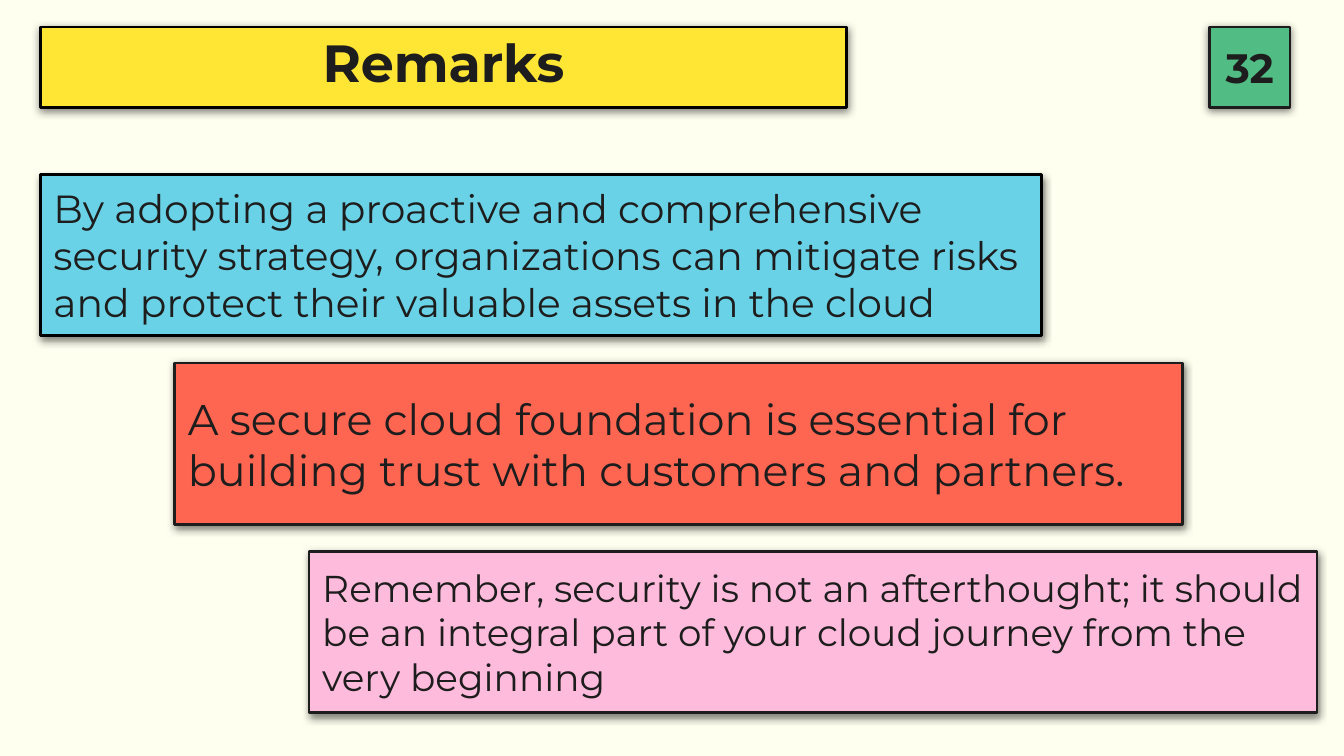
import pptx
import pptx.dml.color
import pptx.enum.shapes
import pptx.enum.text
import pptx.oxml
import pptx.oxml.ns
import pptx.util
from pptx.util import Cm, Pt

COLORS = {
    "page": "FFFFF0",
    "ink": "1D1D1D",
    "black": "000000",
    "title": "FFE534",
    "number": "51BD85",
    "blue": "6AD2E6",
    "red": "FF6652",
    "pink": "FFBBDC",
}
ALIGN = pptx.enum.text.PP_ALIGN
SHADOW = (
    f'<a:outerShdw {pptx.oxml.ns.nsdecls("a")} blurRad="{Pt(4.5)}" dist="{Pt(1.5)}" '
    'dir="5400000" algn="bl" rotWithShape="0">'
    f'<a:srgbClr val="{COLORS["black"]}"><a:alpha val="50000"/></a:srgbClr></a:outerShdw>'
)


def color(name):
    return pptx.dml.color.RGBColor.from_string(COLORS[name])


def fill_card(box, place, text, fill, line, size, bold=False, align=ALIGN.LEFT, spacing=1.0):
    """Place a box and give it the outlined, shadowed card look with one paragraph."""
    for side, length in zip(("left", "top", "width", "height"), place):
        setattr(box, side, Cm(length))
    box.fill.solid()
    box.fill.fore_color.rgb = color(fill)
    box.line.color.rgb = color(line)
    box.line.width = Pt(1.5)
    box.shadow.inherit = False
    effects = box.element.spPr.find(pptx.oxml.ns.qn("a:effectLst"))
    effects.append(pptx.oxml.parse_xml(SHADOW))

    frame = box.text_frame
    frame_format = {
        "word_wrap": True,
        "auto_size": pptx.enum.text.MSO_AUTO_SIZE.NONE,
        "vertical_anchor": pptx.enum.text.MSO_ANCHOR.MIDDLE,
        "margin_left": Cm(0.25),
        "margin_right": Cm(0.25),
        "margin_top": Cm(0.25),
        "margin_bottom": Cm(0.25),
    }
    for name, value in frame_format.items():
        setattr(frame, name, value)

    para = frame.paragraphs[0]
    properties = para._p.get_or_add_pPr()
    properties.set("marL", "0")
    properties.set("indent", "0")
    properties.append(pptx.oxml.parse_xml(f'<a:buNone {pptx.oxml.ns.nsdecls("a")}/>'))
    para_format = {"alignment": align, "line_spacing": spacing, "space_before": Pt(0)}
    for name, value in para_format.items():
        setattr(para, name, value)

    span = para.add_run()
    span.text = text
    for name, value in {"name": "Montserrat", "size": Pt(size), "bold": bold}.items():
        setattr(span.font, name, value)
    span.font.color.rgb = color("ink")


deck = pptx.Presentation()
deck.slide_width, deck.slide_height = Cm(25.4), Cm(14.29)
page = deck.slides.add_slide(deck.slide_layouts.get_by_name("Comparison"))
page.background.fill.solid()
page.background.fill.fore_color.rgb = color("page")

# Header: title bar and page number
fill_card(page.shapes.title, (0.76, 0.51, 15.24, 1.52), "Remarks", "title", "black", 28,
          bold=True, align=ALIGN.CENTER, spacing=0.8)
number = page.shapes.add_shape(pptx.enum.shapes.MSO_SHAPE.RECTANGLE, 0, 0, 0, 0)
fill_card(number, (22.86, 0.51, 1.52, 1.52), "32", "number", "ink", 22,
          bold=True, align=ALIGN.CENTER)

# Remarks: three cards stepping down to the right
remarks = [
    ("By adopting a proactive and comprehensive security strategy, organizations can "
     "mitigate risks and protect their valuable assets in the cloud",
     "blue", "black", 21, 18.92),
    ("A secure cloud foundation is essential for building trust with customers and partners.",
     "red", "ink", 23, 19.05),
    ("Remember, security is not an afterthought; it should be an integral part of your "
     "cloud journey from the very beginning",
     "pink", "ink", 20, 19.05),
]
bodies = list(page.placeholders)[1:]
for step, (body, remark) in enumerate(zip(bodies, remarks)):
    text, fill, line, size, width = remark
    place = (0.76 + 2.54 * step, 3.3 + 3.56 * step, width, 3.05)
    fill_card(body, place, text, fill, line, size)

for spare in bodies[len(remarks):]:
    spare.element.getparent().remove(spare.element)

deck.save("out.pptx")
